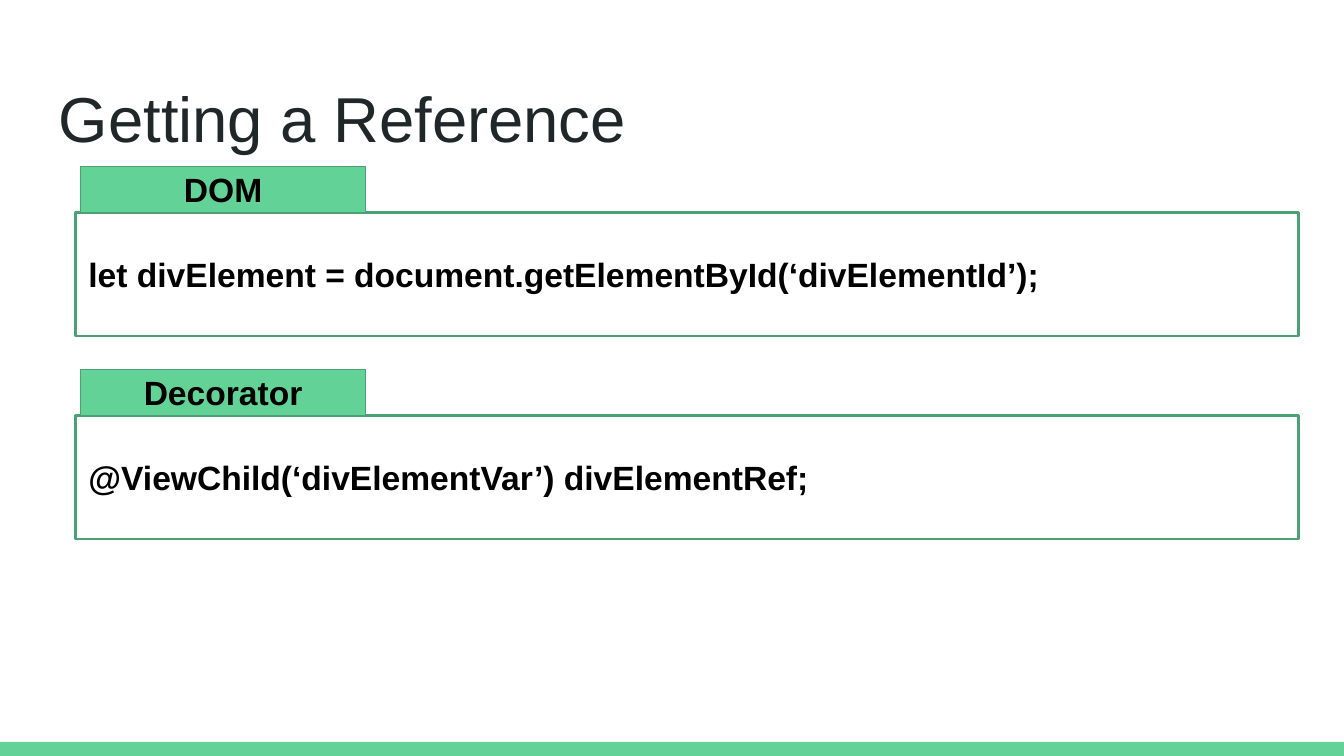
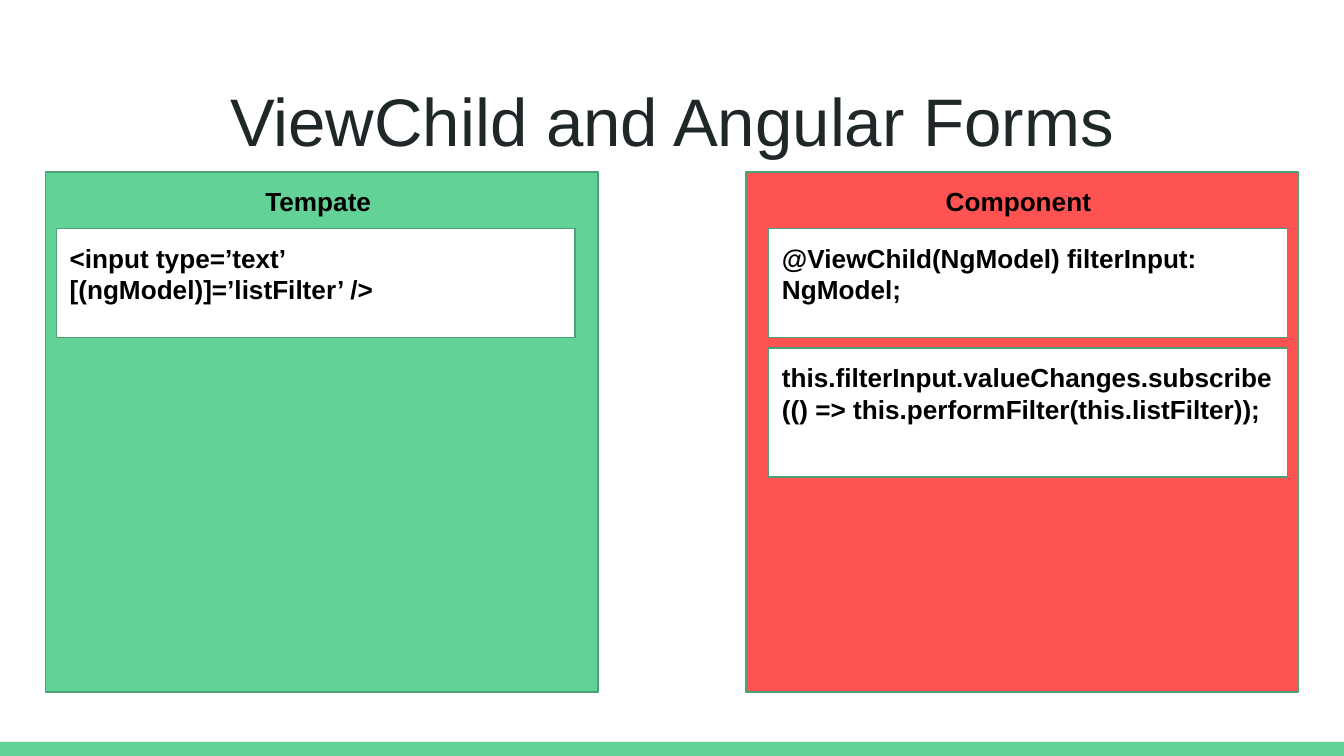
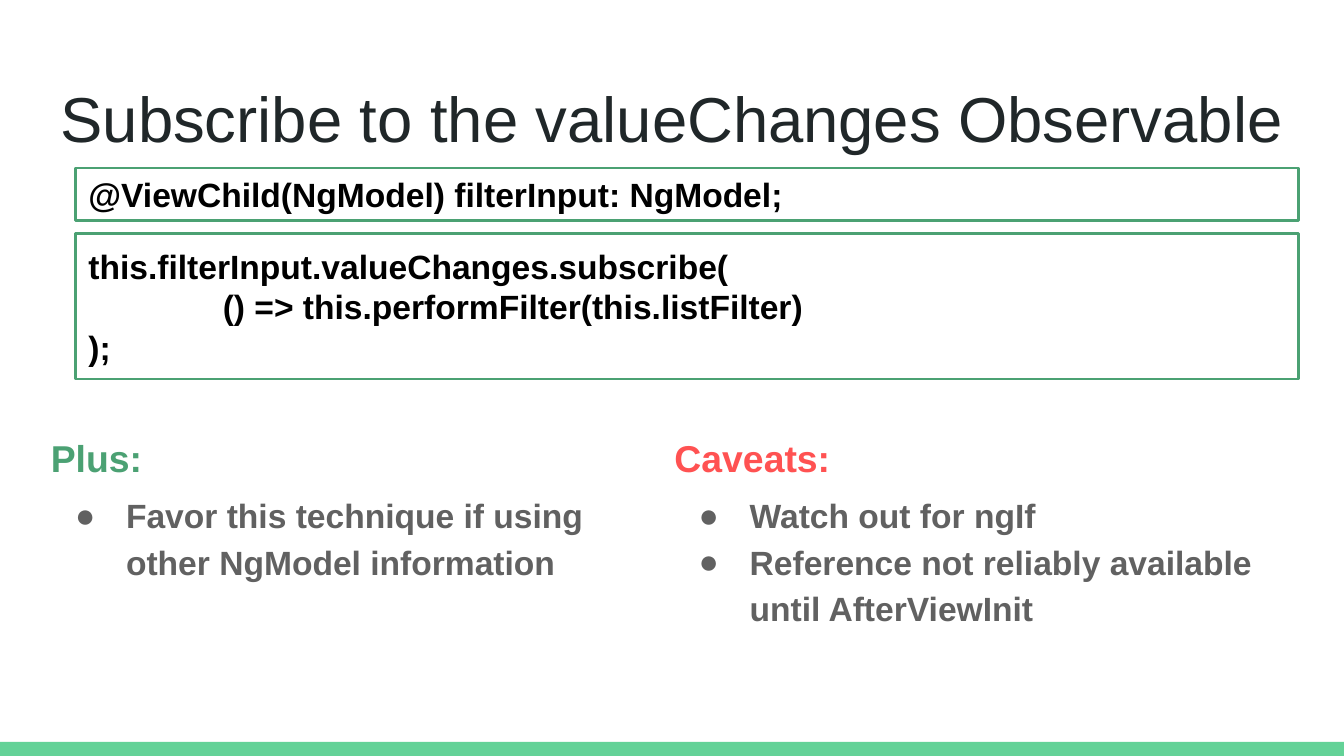
import dataclasses

import lxml.etree
import pptx
import pptx.dml.color
import pptx.enum.shapes
import pptx.enum.text
import pptx.oxml.ns
import pptx.util

Inches = pptx.util.Inches
Pt = pptx.util.Pt
qn = pptx.oxml.ns.qn
CENTER = pptx.enum.text.PP_ALIGN.CENTER
LEFT = pptx.enum.text.PP_ALIGN.LEFT
TOP = pptx.enum.text.MSO_ANCHOR.TOP
MIDDLE = pptx.enum.text.MSO_ANCHOR.MIDDLE


@dataclasses.dataclass(frozen=True)
class Theme:
    font: str = "Arial"
    ink: str = "202729"
    black: str = "000000"
    white: str = "FFFFFF"
    grey: str = "616161"
    green: str = "63D297"
    dark_green: str = "4BA173"
    red: str = "FF5252"
    title: int = 34
    title_large: int = 36
    heading: int = 20
    code: int = 18
    small: int = 14
    thick: float = 1.5
    thin: float = 0.75
    inset: float = 0.1


T = Theme()
WIDTH = 10
HEIGHT = WIDTH * 9 / 16
MARGIN = 0.34
CODE_LEFT, CODE_WIDTH = 0.56, 9.1


def rgb(value):
    return pptx.dml.color.RGBColor.from_string(value)


def add_bullet(p, color):
    """Give a paragraph a hanging round bullet."""
    pPr = p._p.get_or_add_pPr()
    pPr.set("marL", str(Inches(0.5)))
    pPr.set("indent", str(Inches(-0.38)))
    p.line_spacing = 1.15
    bu_color = lxml.etree.SubElement(pPr, qn("a:buClr"))
    lxml.etree.SubElement(bu_color, qn("a:srgbClr")).set("val", color)
    lxml.etree.SubElement(pPr, qn("a:buFont")).set("typeface", T.font)
    lxml.etree.SubElement(pPr, qn("a:buChar")).set("char", "●")


def add_tab_stop(p, position):
    """Set one left tab stop."""
    tabs = lxml.etree.SubElement(p._p.get_or_add_pPr(), qn("a:tabLst"))
    tab = lxml.etree.SubElement(tabs, qn("a:tab"))
    tab.set("pos", str(Inches(position)))
    tab.set("algn", "l")


def write(sp, lines, size, color=T.black, bold=True, align=LEFT, anchor=TOP, bullets=False):
    """Fill a shape with one paragraph per line."""
    tf = sp.text_frame
    inset = Inches(T.inset)
    frame_format = {"word_wrap": True, "vertical_anchor": anchor,
                    "margin_left": inset, "margin_right": inset,
                    "margin_top": inset, "margin_bottom": inset}
    for name, value in frame_format.items():
        setattr(tf, name, value)
    for i, line in enumerate(lines):
        p = tf.paragraphs[0] if i == 0 else tf.add_paragraph()
        p.alignment = align
        if bullets:
            add_bullet(p, T.grey)
        if line.startswith("\t"):
            add_tab_stop(p, 1)
        r = p.add_run()
        r.text = line
        for name, value in {"name": T.font, "size": Pt(size), "bold": bold}.items():
            setattr(r.font, name, value)
        r.font.color.rgb = rgb(color)


def add_text(s, box, lines, size, **style):
    sp = s.shapes.add_textbox(*map(Inches, box))
    write(sp, lines, size, **style)


def add_box(s, box, fill, line_width=None):
    """Add a rectangle, outlined in dark green when a line width is given."""
    sp = s.shapes.add_shape(pptx.enum.shapes.MSO_SHAPE.RECTANGLE, *map(Inches, box))
    sp.shadow.inherit = False
    sp.fill.solid()
    sp.fill.fore_color.rgb = rgb(fill)
    if line_width:
        sp.line.color.rgb = rgb(T.dark_green)
        sp.line.width = Pt(line_width)
    else:
        sp.line.fill.background()
    return sp


def add_slide(prs, title, size=T.title, align=CENTER):
    """Start a slide with the footer band and the title."""
    s = prs.slides.add_slide(prs.slide_layouts[6])
    add_box(s, (0, 5.52, WIDTH, 0.11), T.green)
    add_text(s, (MARGIN, 0.49, 9.32, 0.63), [title], size,
             color=T.ink, bold=False, align=align)
    return s


def add_code(s, box, lines):
    write(add_box(s, box, T.white, T.thick), lines, T.code, anchor=MIDDLE)


def add_tabbed_code(s, box, label, code):
    """Code box with a label tab standing on its top edge."""
    left, top, width, height = box
    tab_height = 0.34
    add_code(s, (left, top + tab_height, width, height - tab_height), [code])
    tab = add_box(s, (left + 0.04, top, 2.12, tab_height), T.green, T.thin)
    write(tab, [label], T.code, align=CENTER, anchor=MIDDLE)


def add_panel(s, box, heading, fill, snippets, indent):
    """Coloured panel with a heading and stacked snippets of given heights."""
    left, top, _, _ = box
    panel = add_box(s, box, fill, T.thin)
    write(panel, [heading], T.small, align=CENTER)
    y = top + 0.42
    for code, height in snippets:
        sp = add_box(s, (left + indent, y, 3.86, height), T.white, T.thin)
        write(sp, [code], T.small)
        y += height + 0.08


def add_points(s, box, heading, color, points):
    """Coloured heading above a bulleted list."""
    left, top, width, height = box
    add_text(s, (left, top, 1.9, 0.45), [heading], T.heading, color=color)
    add_text(s, (left + 0.06, top + 0.4, width - 0.06, height - 0.4), points,
             T.code, color=T.grey, bullets=True)


def reference_slide(prs):
    s = add_slide(prs, "Getting a Reference", align=LEFT)
    examples = [
        ("DOM", "let divElement = document.getElementById(‘divElementId’);"),
        ("Decorator", "@ViewChild(‘divElementVar’) divElementRef;"),
    ]
    for i, (label, code) in enumerate(examples):
        add_tabbed_code(s, (CODE_LEFT, 1.24 + 1.51 * i, CODE_WIDTH, 1.26), label, code)


def forms_slide(prs):
    s = add_slide(prs, "ViewChild and Angular Forms", T.title_large)
    top, width, height = 1.28, 4.11, 3.87
    add_panel(s, (MARGIN, top, width, height), "Tempate ", T.green,
              [("<input type=’text’ [(ngModel)]=’listFilter’ />", 0.81)], 0.08)
    add_panel(s, (WIDTH - MARGIN - width, top, width, height), "Component ", T.red, [
        ("@ViewChild(NgModel) filterInput: NgModel;", 0.81),
        ("this.filterInput.valueChanges.subscribe"
         "(() => this.performFilter(this.listFilter));", 0.96),
    ], 0.17)


def subscribe_slide(prs):
    s = add_slide(prs, "Subscribe to the valueChanges Observable")
    # Code
    add_code(s, (CODE_LEFT, 1.25, CODE_WIDTH, 0.39),
             ["@ViewChild(NgModel) filterInput: NgModel;"])
    add_code(s, (CODE_LEFT, 1.74, CODE_WIDTH, 1.08), [
        "this.filterInput.valueChanges.subscribe(",
        "\t() => this.performFilter(this.listFilter)",
        ");",
    ])
    # Pros and cons
    columns = [
        ("Plus:", T.dark_green, ["Favor this technique if using other NgModel information"]),
        ("Caveats:", T.red, ["Watch out for ngIf",
                             "Reference not reliably available until AfterViewInit"]),
    ]
    for i, column in enumerate(columns):
        add_points(s, (0.28 + 4.64 * i, 3.14, 4.72, 2.92), *column)


def main():
    prs = pptx.Presentation()
    prs.slide_width, prs.slide_height = Inches(WIDTH), Inches(HEIGHT)
    reference_slide(prs)
    forms_slide(prs)
    subscribe_slide(prs)
    prs.save("out.pptx")


if __name__ == "__main__":
    main()
